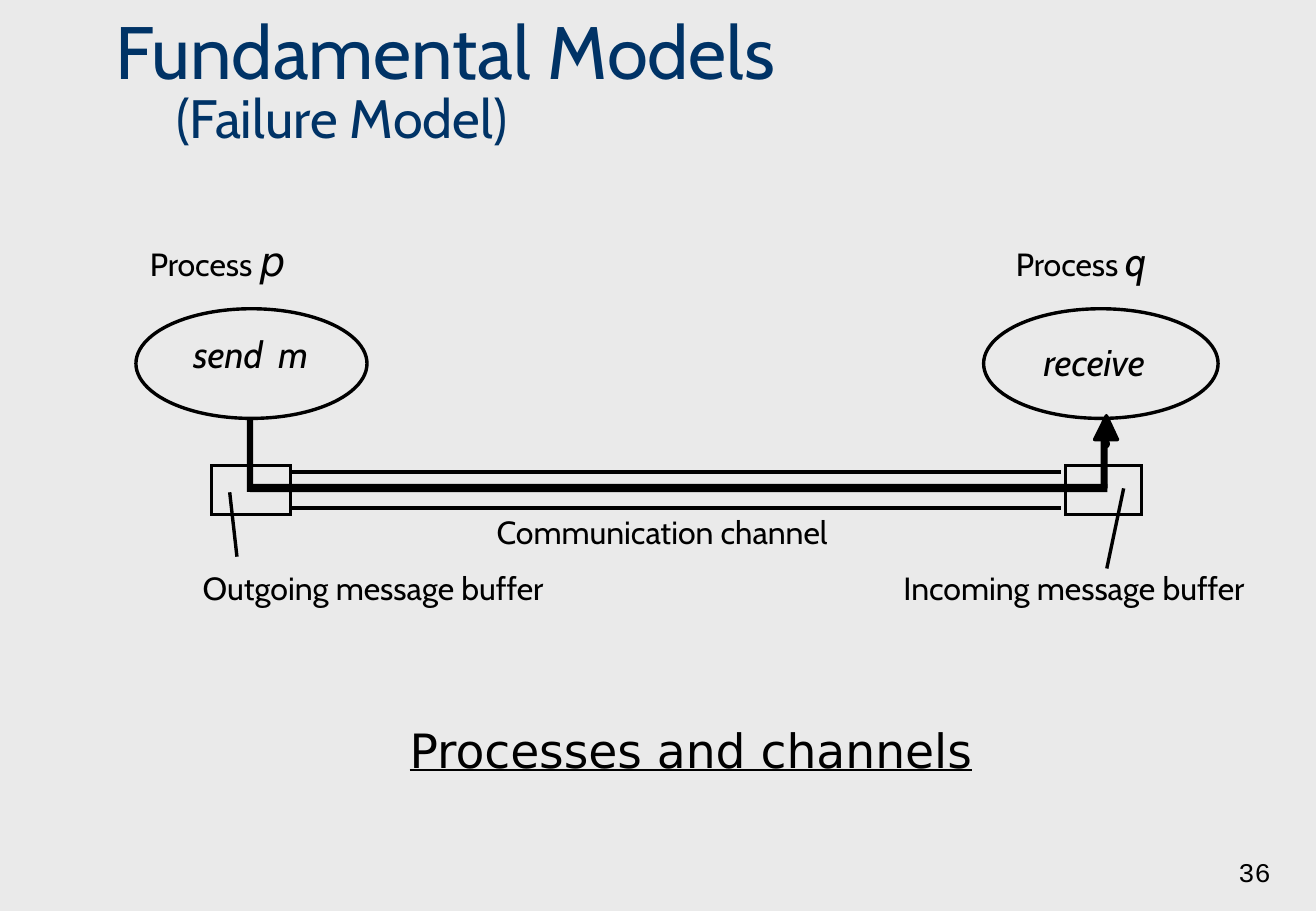
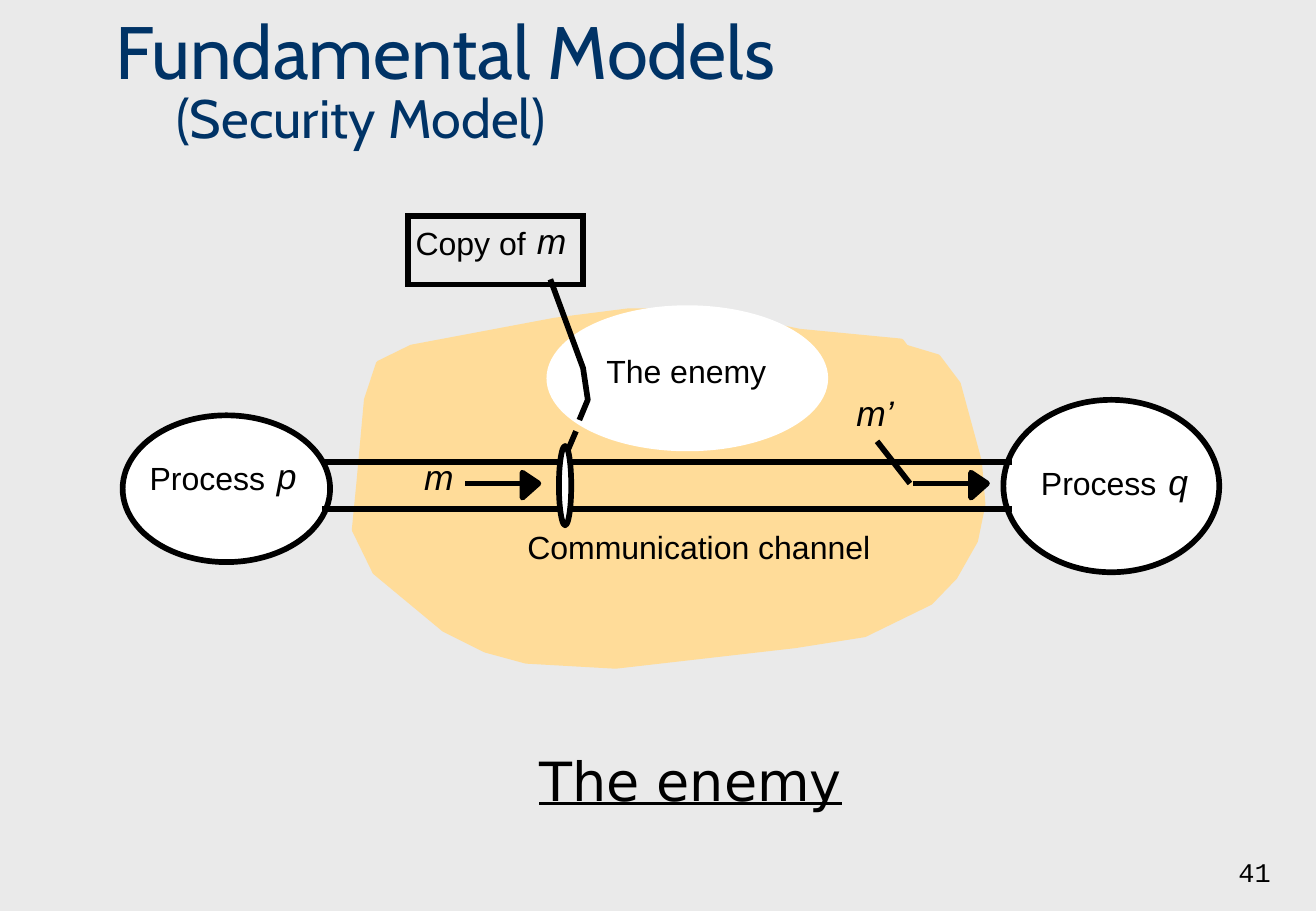
from dataclasses import dataclass

from lxml.etree import SubElement
from pptx import Presentation
from pptx.dml.color import RGBColor
from pptx.enum.shapes import MSO_CONNECTOR, MSO_SHAPE
from pptx.enum.text import MSO_ANCHOR, PP_ALIGN
from pptx.oxml.ns import qn
from pptx.util import Pt


@dataclass(frozen=True)
class Theme:
    # Colours
    paper: str = "EAEAEA"
    heading: str = "003366"
    ink: str = "000000"
    white: str = "FFFFFF"
    network: str = "FFDC99"
    # Fonts
    humanist: str = "Cabin"
    plain: str = "Arial"
    wide: str = "DejaVu Sans"
    mono: str = "Courier New"
    # Type sizes
    title: int = 44
    subtitle: int = 32
    label: int = 19
    variable: int = 21
    action: int = 22
    process: int = 24
    number: int = 16
    # Line widths
    thin: float = 2
    bold: float = 3.37


THEME = Theme()


def rgb(colour):
    return RGBColor.from_string(colour)


class Deck:
    """Holds the style, the presentation and the current slide."""

    def __init__(self, theme):
        self.theme = theme
        self.prs = Presentation()
        self.prs.slide_width, self.prs.slide_height = Pt(780.25), Pt(540)
        self.slide = None
        self.stroke = theme.thin
        self.font = theme.humanist

    def new_slide(self, subtitle, number, stroke, font):
        """Start a slide with its shared background, title and number."""
        t = self.theme
        self.stroke, self.font = stroke, font
        self.slide = self.prs.slides.add_slide(self.prs.slide_layouts[6])
        fill = self.slide.background.fill
        fill.solid()
        fill.fore_color.rgb = rgb(t.paper)

        heading = self.frame(61.5, 7.2, 696, 85, (7.2, 3.6), MSO_ANCHOR.BOTTOM)
        title = heading.paragraphs[0]
        title.line_spacing = 0.85
        self.run(title, "Fundamental Models", t.title, t.humanist, t.heading)
        title.add_line_break()
        self.run(title, "\t" + subtitle, t.subtitle, t.humanist, t.heading)

        footer = self.frame(597.5, 494, 163, 36, (7.2, 3.6), MSO_ANCHOR.BOTTOM)
        footer.paragraphs[0].alignment = PP_ALIGN.RIGHT
        self.run(footer.paragraphs[0], number, t.number, t.mono)

    def frame(self, x, y, w, h, margins=(0, 0), anchor=MSO_ANCHOR.TOP):
        box = self.slide.shapes.add_textbox(Pt(x), Pt(y), Pt(w), Pt(h))
        frame = box.text_frame
        frame.word_wrap = True
        frame.vertical_anchor = anchor
        frame.margin_left = frame.margin_right = Pt(margins[0])
        frame.margin_top = frame.margin_bottom = Pt(margins[1])
        return frame

    def run(self, paragraph, text, size, font=None, colour=None,
            italic=False, underline=False):
        run = paragraph.add_run()
        run.text = text
        run.font.size = Pt(size)
        run.font.name = font or self.font
        run.font.color.rgb = rgb(colour or self.theme.ink)
        run.font.italic = italic
        run.font.underline = underline

    def label(self, x, y, w, text="", variable="", size=None, font=None):
        """Upright text followed by an italic variable."""
        size = size or self.theme.variable
        frame = self.frame(x, y, w, 1.2 * (size if variable else self.theme.label))
        if text:
            self.run(frame.paragraphs[0], text, self.theme.label)
        if variable:
            self.run(frame.paragraphs[0], variable, size, font, italic=True)

    def caption(self, y, h, text, size):
        frame = self.frame(168, y, 483, h, (7.2, 3.6))
        frame.paragraphs[0].alignment = PP_ALIGN.CENTER
        self.run(frame.paragraphs[0], text, size, self.theme.wide, underline=True)

    def paint(self, shape, fill, outline):
        shape.shadow.inherit = False
        if fill:
            shape.fill.solid()
            shape.fill.fore_color.rgb = rgb(fill)
        else:
            shape.fill.background()
        if outline:
            shape.line.color.rgb = rgb(outline)
            shape.line.width = Pt(self.stroke)
        else:
            shape.line.fill.background()

    def shape(self, preset, x, y, w, h, fill=None, outline=THEME.ink):
        shape = self.slide.shapes.add_shape(preset, Pt(x), Pt(y), Pt(w), Pt(h))
        self.paint(shape, fill, outline)
        return shape

    def ellipse(self, *box, **style):
        self.shape(MSO_SHAPE.OVAL, *box, **style)

    def rectangle(self, *box, **style):
        """Rectangle with sharp corners."""
        shape = self.shape(MSO_SHAPE.RECTANGLE, *box, **style)
        SubElement(shape.line._get_or_add_ln(), qn("a:miter"), lim="800000")

    def outline(self, points, fill=None, outline=THEME.ink, close=True):
        corners = [(Pt(x), Pt(y)) for x, y in points]
        builder = self.slide.shapes.build_freeform(*corners[0], scale=1.0)
        builder.add_line_segments(corners[1:], close=close)
        self.paint(builder.convert_to_shape(), fill, outline)

    def line(self, x1, y1, x2, y2):
        line = self.slide.shapes.add_connector(
            MSO_CONNECTOR.STRAIGHT, Pt(x1), Pt(y1), Pt(x2), Pt(y2))
        line.line.color.rgb = rgb(self.theme.ink)
        line.line.width = Pt(self.stroke)
        SubElement(line._element.spPr, qn("a:effectLst"))


def failure_model(deck):
    t = deck.theme
    deck.new_slide("(Failure Model)", "36", t.thin, t.humanist)

    # Processes
    deck.label(88.8, 140, 93, "Process ", "p", t.process, t.wide)
    deck.label(602.3, 140, 94, "Process ", "q", t.process)
    deck.ellipse(80.6, 183, 137, 65)
    deck.ellipse(583.2, 183, 139, 65)
    for x, y, w, action in ((114.6, 196.6, 47, "send"), (165, 196.6, 20, "m"),
                            (618.7, 201, 68, "receive")):
        deck.label(x, y, w, variable=action, size=t.action)

    # Channel between the two buffers
    for y in (279.8, 301.2):
        deck.line(171.5, y, 628.8, y)
    deck.rectangle(125.5, 276, 46.8, 29)
    deck.rectangle(631.7, 276, 45, 29)
    deck.label(294.5, 304, 218, "Communication channel")

    # Buffer names and their pointers
    deck.line(140.5, 330, 136.2, 291.8)
    deck.line(656.2, 337, 666.2, 289.5)
    deck.label(120.2, 337.2, 230, "Outgoing message buffer")
    deck.label(535.7, 337.2, 230, "Incoming message buffer")

    # Route of the message
    for segment in ((146.4, 248.4, 3.7, 43.2), (148.3, 286.8, 508.3, 5),
                    (652.5, 258.5, 4.3, 31)):
        deck.rectangle(*segment, fill=t.ink, outline=None)
    deck.ellipse(654.5, 260.6, 3.6, 5, fill=t.ink, outline=None)
    deck.outline([(649, 260.6), (656, 246.4), (662.6, 260.6)], fill=t.ink)

    deck.caption(423.8, 41, "Processes and channels", 28)


def security_model(deck):
    t = deck.theme
    deck.new_slide("(Security Model)", "41", t.bold, t.plain)
    deck.caption(439.4, 46, "The enemy", 32)

    # Open network and the enemy in it
    deck.outline([
        (534.3, 202.4), (474, 196.6), (416, 184.5), (372.3, 184.5), (329, 190),
        (244, 206), (224.6, 215.5), (217.5, 237), (213, 286.5), (210.3, 314),
        (222.5, 339), (263.5, 373), (288, 385.2), (312, 391.7), (365, 394.7),
        (471.6, 382.5), (512.6, 376), (551.5, 357), (566, 342), (578.2, 320.5),
        (582.6, 299), (580.5, 273.6), (568, 227.6), (556, 211.7), (537, 206),
    ], fill=t.network, outline=t.network)
    deck.ellipse(324, 181, 167, 86.5, fill=t.white, outline=None)
    deck.label(359.5, 208.2, 97, "The enemy")

    # Processes and the channel between them
    deck.ellipse(594.9, 237, 128, 102.2, fill=t.white)
    deck.ellipse(72.7, 246.2, 123, 87, fill=t.white)
    for y in (274, 301.8):
        deck.line(191, y, 600, y)
    for x, y, name in ((88.7, 271.5, "p"), (617.2, 275, "q")):
        deck.label(x, y, 74, "Process")
        deck.label(x + 75.5, y - 2.5, 13, variable=name)
    deck.label(312.6, 312.7, 206, "Communication channel")

    # Message sent and message injected
    deck.label(251.5, 269.5, 19, variable="m")
    deck.label(507.7, 232, 24, variable="m’")
    deck.line(539.5, 286.6, 520, 261.6)
    for start, end in ((276, 309.7), (541.5, 575.7)):
        deck.line(start, 286.6, end, 286.6)
        deck.outline([(end, 280.2), (end + 9.5, 286.6), (end, 295)], fill=t.ink)

    # Tap on the channel and the copy it yields
    deck.ellipse(331.4, 264.4, 7.3, 47, fill=t.white)
    deck.line(336.2, 268, 341.5, 255.6)
    deck.outline([(326.3, 165.6), (345.7, 218.2), (348.5, 237), (343.5, 249)],
                 close=False)
    deck.rectangle(242, 128.2, 103.7, 40.5)
    deck.label(246.4, 132.5, 71, "Copy of")
    deck.label(318.3, 129.7, 19, variable="m")


def main():
    deck = Deck(THEME)
    failure_model(deck)
    security_model(deck)
    deck.prs.save("out.pptx")


if __name__ == "__main__":
    main()
